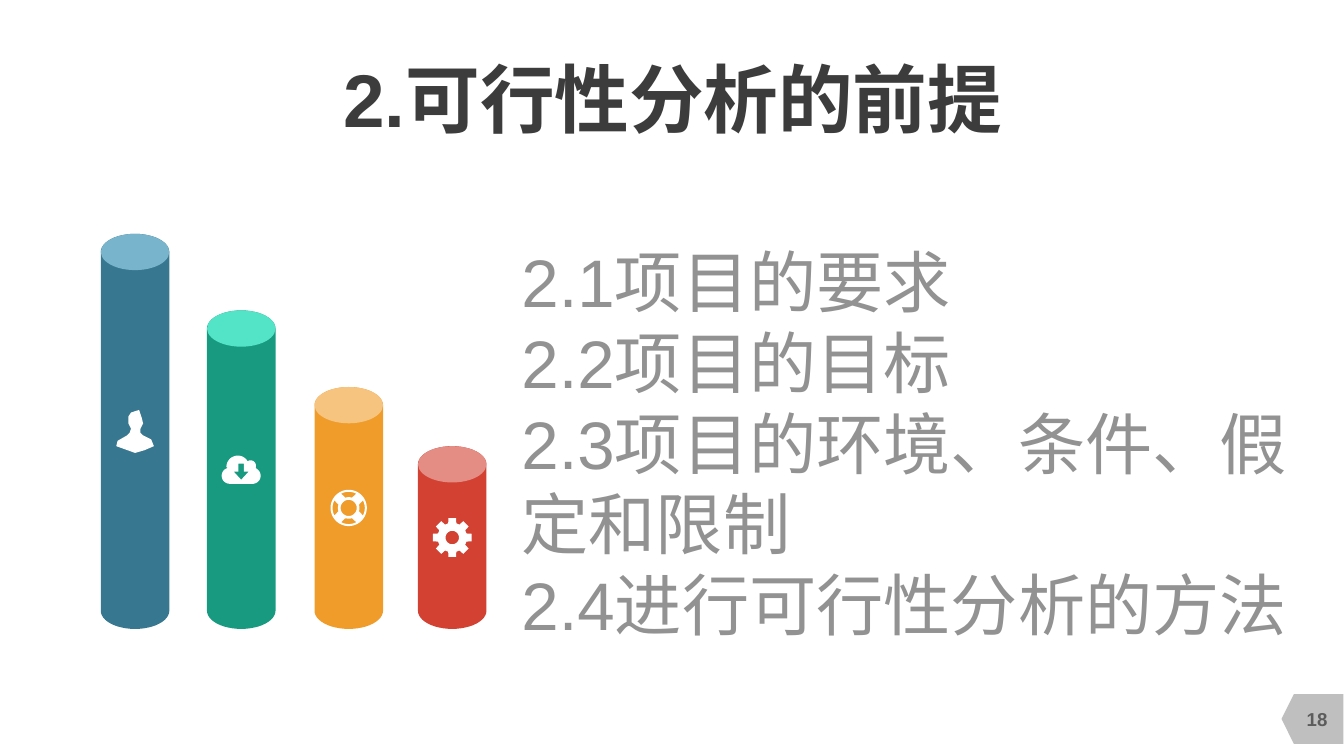
from math import cos, radians, sin

from lxml.etree import SubElement
from pptx import Presentation
from pptx.dml.color import RGBColor
from pptx.enum.shapes import MSO_SHAPE as Shape
from pptx.enum.text import MSO_ANCHOR as Anchor, MSO_AUTO_SIZE as AutoSize, PP_ALIGN as Align
from pptx.oxml.ns import qn
from pptx.util import Inches, Pt

WIDTH = 10
HEIGHT = WIDTH * 9 / 16
FONT = "Arial"
WHITE = "FFFFFF"
COLUMN_WIDTH, LID_HEIGHT, COLUMN_BASE = 0.51, 0.27, 4.68
TOPICS = ["2.1项目的要求", "2.2项目的目标", "2.3项目的环境、条件、假定和限制", "2.4进行可行性分析的方法"]


def colour(value):
    return RGBColor.from_string(value)


def paint(shape, fill):
    shape.shadow.inherit = False
    shape.fill.solid()
    shape.fill.fore_color.rgb = colour(fill)
    shape.line.fill.background()


def place(shape, left, top, width, height):
    shape.left, shape.top = Inches(left), Inches(top)
    shape.width, shape.height = Inches(width), Inches(height)


def arc(x, y, radius_x, radius_y, start, end, steps=24):
    """Points on an ellipse; angles in degrees, clockwise from the right."""
    angles = [radians(start + (end - start) * i / steps) for i in range(steps + 1)]
    return [(x + radius_x * cos(a), y + radius_y * sin(a)) for a in angles]


def circle(radius):
    return arc(0, 0, radius, radius, 0, 360, 48)


def add_outline(shapes, contours, fill, x=0, y=0):
    """Add closed contours, given around (x, y), as one shape; inner ones are holes."""
    builder = None
    for contour in contours:
        points = [(Inches(x + dx), Inches(y + dy)) for dx, dy in contour]
        if builder is None:
            builder = shapes.build_freeform(*points[0])
        else:
            builder.move_to(*points[0])
        builder.add_line_segments(points[1:], close=True)
    paint(builder.convert_to_shape(), fill)


def person_icon():
    right = [(0.03, -0.16), (0.04, -0.13), (0.05, -0.1), (0.06, -0.06), (0.04, -0.02),
             (0.04, 0.01), (0.06, 0.03), (0.12, 0.06), (0.14, 0.11), (0.07, 0.14), (0, 0.16)]
    left = [(-0.14, 0.11), (-0.13, 0.07), (-0.06, 0.03), (-0.04, 0.01), (-0.03, -0.02),
            (-0.05, -0.06), (-0.05, -0.11), (-0.03, -0.14), (0, -0.15)]
    return [right + left]


def cloud_icon():
    cloud = (arc(-0.085, 0.045, 0.06, 0.06, 90, 255)
             + arc(-0.025, -0.02, 0.085, 0.085, 180, 330)
             + arc(0.07, -0.03, 0.04, 0.04, 250, 380)
             + arc(0.085, 0.045, 0.06, 0.06, 300, 450))
    arrow = [(-0.02, -0.045), (0.02, -0.045), (0.02, 0.015), (0.055, 0.015),
             (0, 0.075), (-0.055, 0.015), (-0.02, 0.015)]
    return [cloud, arrow]


def lifebuoy_icon():
    slots = [arc(0, 0, 0.12, 0.12, a - 28, a + 28) + arc(0, 0, 0.08, 0.08, a + 18, a - 18)
             for a in range(0, 360, 90)]
    return [circle(0.135), circle(0.06)] + slots


def gear_icon():
    teeth = [(radius * cos(radians(a + turn)), radius * sin(radians(a + turn)))
             for a in range(0, 360, 45)
             for turn, radius in [(-16, 0.11), (-11, 0.147), (11, 0.147), (16, 0.11)]]
    return [teeth, circle(0.05)]


def add_column(slide, left, top, body_fill, lid_fill, icon):
    """Add a round column with its icon halfway up."""
    shapes = slide.shapes.add_group_shape().shapes
    radius_x, radius_y = COLUMN_WIDTH / 2, LID_HEIGHT / 2
    centre = left + radius_x
    body = (arc(centre, top + radius_y, radius_x, radius_y, 180, 360)
            + arc(centre, COLUMN_BASE - radius_y, radius_x, radius_y, 0, 180))
    add_outline(shapes, [body], body_fill)
    lid = shapes.add_shape(Shape.OVAL, Inches(left), Inches(top),
                           Inches(COLUMN_WIDTH), Inches(LID_HEIGHT))
    paint(lid, lid_fill)
    add_outline(slide.shapes, icon, WHITE, centre, (top + COLUMN_BASE) / 2)


def add_run(paragraph, text, size, fill, bold=False):
    run = paragraph.add_run()
    run.text = text
    run.font.name, run.font.size, run.font.bold = FONT, Pt(size), bold
    run.font.color.rgb = colour(fill)


def fill_title(title, text):
    place(title, 1.92, 0.29, 6.17, 0.87)
    frame = title.text_frame
    frame.margin_left = frame.margin_right = frame.margin_top = frame.margin_bottom = 0
    frame.word_wrap = False
    frame.auto_size = AutoSize.NONE
    frame.vertical_anchor = Anchor.MIDDLE
    frame.paragraphs[0].alignment = Align.CENTER
    add_run(frame.paragraphs[0], text, 40, "3C3C3C", True)


def fill_topics(body, topics):
    place(body, 3.78, 1.74, 6.09, 3.13)
    frame = body.text_frame
    frame.word_wrap = True
    frame.auto_size = AutoSize.NONE
    frame.vertical_anchor = Anchor.TOP
    for index, topic in enumerate(topics):
        paragraph = frame.add_paragraph() if index else frame.paragraphs[0]
        properties = paragraph._p.get_or_add_pPr()
        properties.set("marL", "0")
        properties.set("indent", "0")
        SubElement(properties, qn("a:buNone"))
        paragraph.space_before = Pt(0)
        add_run(paragraph, topic, 36, "929292")


def add_page_number(slide, number):
    tag = slide.shapes.add_shape(Shape.FLOWCHART_OFFPAGE_CONNECTOR, Inches(9.58), Inches(5.12),
                                 Inches(0.37), Inches(0.46))
    tag.rotation = 90
    paint(tag, "BFBFBF")
    frame = slide.shapes.add_textbox(Inches(9.55), Inches(5.2), Inches(0.5), Inches(0.3)).text_frame
    frame.word_wrap = True
    frame.vertical_anchor = Anchor.MIDDLE
    frame.paragraphs[0].alignment = Align.CENTER
    add_run(frame.paragraphs[0], number, 10, "5C5C5C", True)


def main():
    presentation = Presentation()
    presentation.slide_width, presentation.slide_height = Inches(WIDTH), Inches(HEIGHT)
    slide = presentation.slides.add_slide(presentation.slide_layouts[1])
    fill_title(slide.shapes.title, "2.可行性分析的前提")
    fill_topics(slide.placeholders[1], TOPICS)
    columns = [
        (0.75, 1.74, "377790", "78B4CB", person_icon()),
        (1.54, 2.31, "189A80", "53E4C7", cloud_icon()),
        (2.34, 2.88, "F09C2A", "F6C47F", lifebuoy_icon()),
        (3.11, 3.32, "D24132", "E48D84", gear_icon()),
    ]
    for column in columns:
        add_column(slide, *column)
    add_page_number(slide, "18")
    presentation.save("out.pptx")


if __name__ == "__main__":
    main()
